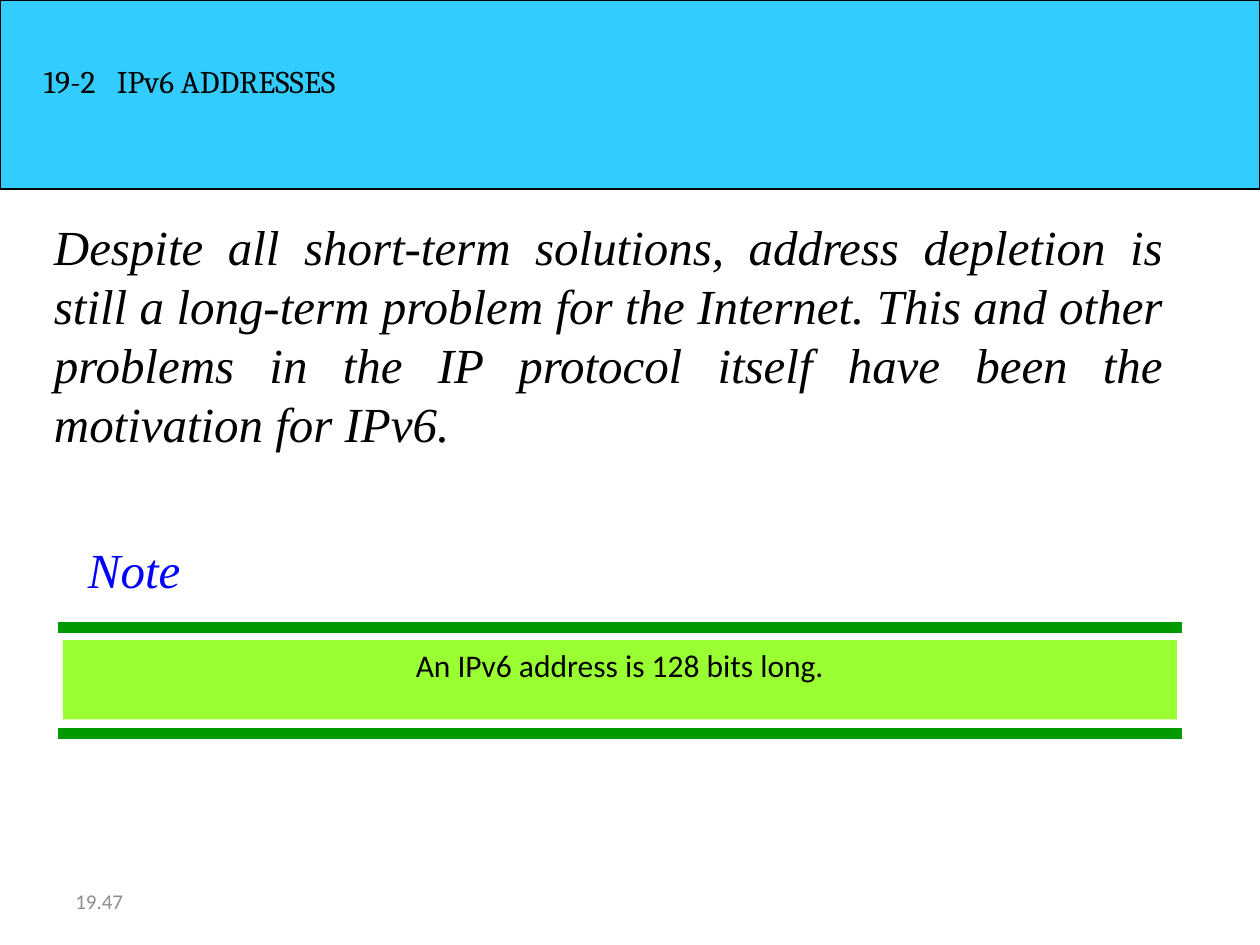
from lxml.etree import SubElement
from pptx import Presentation
from pptx.dml.color import RGBColor
from pptx.enum.shapes import MSO_CONNECTOR, MSO_SHAPE
from pptx.enum.text import MSO_ANCHOR, PP_ALIGN
from pptx.oxml.ns import qn
from pptx.util import Inches, Pt

COLORS = {
    "banner": "33CCFF",
    "rule": "009900",
    "panel": "99FF33",
    "ink": "000000",
    "note": "0000FF",
    "number": "8C8C8C",
}


def rgb(name):
    return RGBColor.from_string(COLORS[name])


def write(frame, text, size, font_name, color="ink", italic=False,
          align=PP_ALIGN.LEFT, anchor=MSO_ANCHOR.TOP, tab=None):
    frame.word_wrap = True
    frame.vertical_anchor = anchor
    paragraph = frame.paragraphs[0]
    paragraph.text = text
    paragraph.alignment = align
    if tab is not None:
        tabs = SubElement(paragraph._p.get_or_add_pPr(), qn("a:tabLst"))
        SubElement(tabs, qn("a:tab"), pos=str(Inches(tab)), algn="l")
    font = paragraph.font
    font.size = Pt(size)
    font.name = font_name
    font.italic = italic
    font.color.rgb = rgb(color)


def add_text(slide, left, top, width, height, text, size, font_name, **style):
    box = slide.shapes.add_textbox(
        Inches(left), Inches(top), Inches(width), Inches(height))
    write(box.text_frame, text, size, font_name, **style)


def add_block(slide, left, top, width, height, color):
    block = slide.shapes.add_shape(
        MSO_SHAPE.RECTANGLE,
        Inches(left), Inches(top), Inches(width), Inches(height))
    block.shadow.inherit = False
    block.fill.solid()
    block.fill.fore_color.rgb = rgb(color)
    block.line.fill.background()
    return block


def add_rule(slide, left, right, y):
    rule = slide.shapes.add_connector(
        MSO_CONNECTOR.STRAIGHT,
        Inches(left), Inches(y), Inches(right), Inches(y))
    rule.line.color.rgb = rgb("rule")
    rule.line.width = Pt(6)
    SubElement(rule._element.spPr, qn("a:effectLst"))


def add_banner(slide, left, top, width, height):
    banner = add_block(slide, left, top, width, height, "banner")
    banner.line.color.rgb = rgb("ink")
    banner.line.width = Pt(0.75)
    add_text(slide, left + 0.25, top + 0.44, 4.97, 0.63,
             "19-2\tIPv6 ADDRESSES", 18, "Cambria", tab=0.58)


def add_introduction(slide, left, top, width, height):
    add_text(slide, left, top, width, height,
             "Despite all short-term solutions, address depletion is still "
             "a long-term problem for the Internet. This and other problems "
             "in the IP protocol itself have been the motivation for IPv6.",
             28, "Times New Roman", italic=True,
             align=PP_ALIGN.JUSTIFY, anchor=MSO_ANCHOR.MIDDLE)


def add_note(slide, left, top, width, height):
    add_text(slide, left + 0.14, top, 0.96, 0.57,
             "Note", 28, "Times New Roman", color="note", italic=True)
    upper, lower = top + 0.75, top + height
    for y in (upper, lower):
        add_rule(slide, left, left + width, y)
    panel = add_block(slide, left + 0.04, upper + 0.1,
                      width - 0.08, lower - upper - 0.21, "panel")
    write(panel.text_frame, "An IPv6 address is 128 bits long.",
          18, "Calibri", align=PP_ALIGN.CENTER)


def add_page_number(slide, left, top, width, height):
    add_text(slide, left, top, width, height, "19.47", 12, "Calibri",
             color="number", anchor=MSO_ANCHOR.MIDDLE)


def main():
    presentation = Presentation()
    presentation.slide_width = Inches(10)
    presentation.slide_height = Inches(7.5)
    slide = presentation.slides.add_slide(presentation.slide_layouts[6])
    add_banner(slide, 0, 0, 10, 1.5)
    add_introduction(slide, 0.33, 1.67, 9, 1.97)
    add_note(slide, 0.46, 4.23, 8.92, 1.59)
    add_page_number(slide, 0.5, 6.95, 2.33, 0.4)
    presentation.save("out.pptx")


if __name__ == "__main__":
    main()
